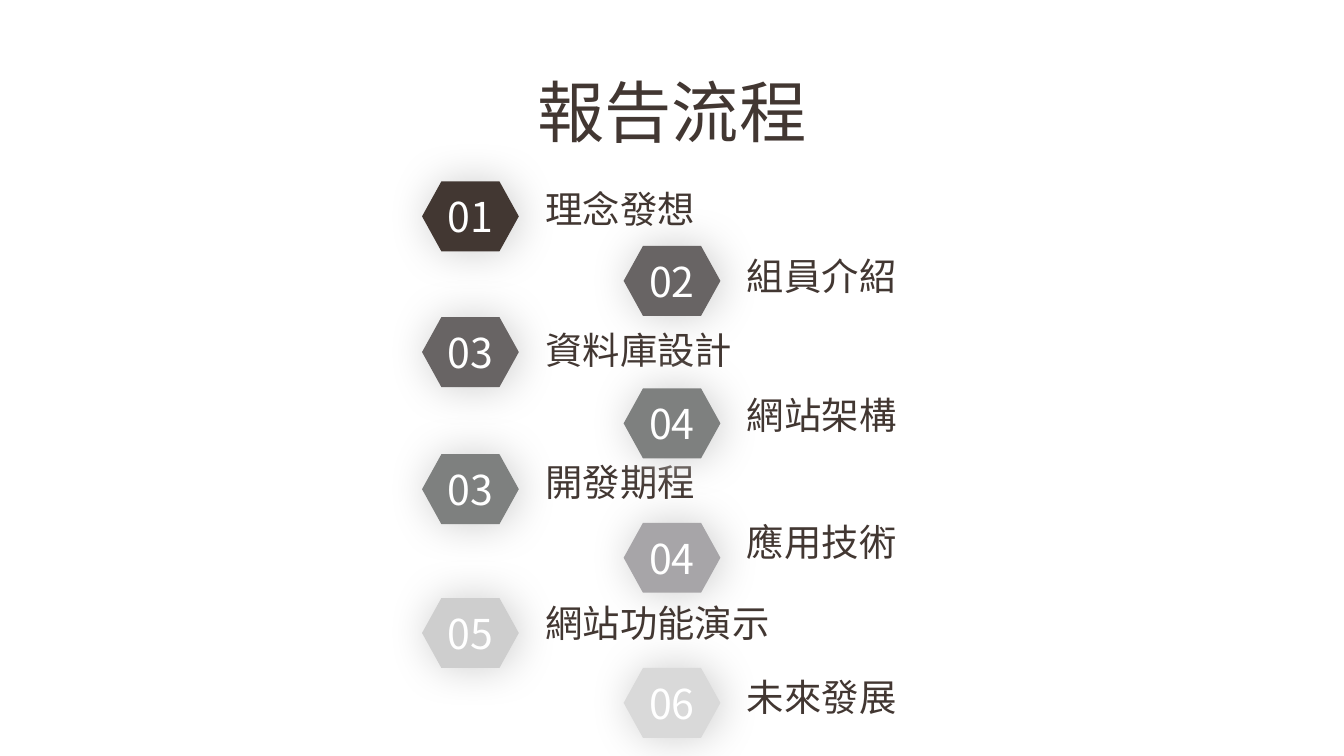
from dataclasses import dataclass

from lxml import etree
from pptx import Presentation
from pptx.dml.color import RGBColor
from pptx.enum.shapes import MSO_SHAPE
from pptx.enum.text import MSO_ANCHOR, PP_ALIGN
from pptx.oxml.ns import qn
from pptx.util import Inches, Pt

HEXAGON = MSO_SHAPE.FLOWCHART_PREPARATION
TOP, MIDDLE, BOTTOM = MSO_ANCHOR.TOP, MSO_ANCHOR.MIDDLE, MSO_ANCHOR.BOTTOM
LEFT, CENTER = PP_ALIGN.LEFT, PP_ALIGN.CENTER


@dataclass(frozen=True)
class Theme:
    font: str = "Noto Sans CJK SC"
    dark: str = "423732"
    white: str = "FFFFFF"
    shadow: str = "CECECE"
    title_size: int = 36
    number_size: int = 22
    label_size: int = 20


class AgendaSlide:
    def __init__(self, slide, theme):
        self.slide = slide
        self.theme = theme

    def text(self, text, left, top, width, height, size, color, align, anchor, spacing=None):
        box = self.slide.shapes.add_textbox(Inches(left), Inches(top), Inches(width), Inches(height))
        frame = box.text_frame
        frame.text = text
        frame.word_wrap = True
        frame.vertical_anchor = anchor
        frame.margin_left = frame.margin_right = Inches(0.1)
        frame.margin_top = frame.margin_bottom = Inches(0.1)
        paragraph = frame.paragraphs[0]
        paragraph.alignment = align
        if spacing:
            paragraph.line_spacing = spacing
        font = paragraph.runs[0].font
        font.name = self.theme.font
        font.size = Pt(size)
        font.color.rgb = RGBColor.from_string(color)
        properties = paragraph.runs[0]._r.get_or_add_rPr()
        etree.SubElement(properties, qn("a:ea"), typeface=self.theme.font)

    def hexagon(self, left, top, color):
        shape = self.slide.shapes.add_shape(HEXAGON, Inches(left), Inches(top), Inches(0.72), Inches(0.52))
        shape.shadow.inherit = False
        shape.fill.solid()
        shape.fill.fore_color.rgb = RGBColor.from_string(color)
        shape.line.fill.background()
        effects = shape._element.spPr.find(qn("a:effectLst"))
        shadow = etree.SubElement(effects, qn("a:outerShdw"), blurRad=str(Pt(22.5)),
                                  dist=str(Pt(1.5)), dir="0", algn="ctr", rotWithShape="0")
        etree.SubElement(shadow, qn("a:srgbClr"), val=self.theme.shadow)

    def item(self, number, label, left, top, label_top, color, spacing=None):
        theme = self.theme
        self.hexagon(left, top, color)
        self.text(number, left + 0.06, top, 0.6, 0.52, theme.number_size, theme.white, CENTER, MIDDLE)
        self.text(label, left + 0.82, label_top, 1.9, 0.42, theme.label_size, theme.dark,
                  LEFT, BOTTOM, spacing)

    def title(self, text):
        self.text(text, 0.78, 0.42, 8.44, 0.75, self.theme.title_size, self.theme.dark, CENTER, TOP)


LEFT_COLUMN, RIGHT_COLUMN = 3.14, 4.64
ITEMS = [
    ("02", "組員介紹", RIGHT_COLUMN, 1.83, 1.9, "686464"),
    ("04", "應用技術", RIGHT_COLUMN, 3.89, 3.88, "A7A5A8"),
    ("01", "理念發想", LEFT_COLUMN, 1.35, 1.4, "423732"),
    ("03", "開發期程", LEFT_COLUMN, 3.38, 3.43, "7E807F"),
    ("05", "網站功能演示", LEFT_COLUMN, 4.45, 4.48, "CECECE"),
    ("06", "未來發展", RIGHT_COLUMN, 4.97, 5.03, "D9D9D9"),
    ("03", "資料庫設計", LEFT_COLUMN, 2.36, 2.44, "686464", 0.75),
    ("04", "網站架構", RIGHT_COLUMN, 2.89, 2.93, "7E807F"),
]


def main():
    presentation = Presentation()
    presentation.slide_width = Inches(10)
    presentation.slide_height = Inches(10 * 9 / 16)
    slide = presentation.slides.add_slide(presentation.slide_layouts[6])
    agenda = AgendaSlide(slide, Theme())
    agenda.title("報告流程")
    for item in ITEMS:
        agenda.item(*item)
    presentation.save("out.pptx")


if __name__ == "__main__":
    main()
